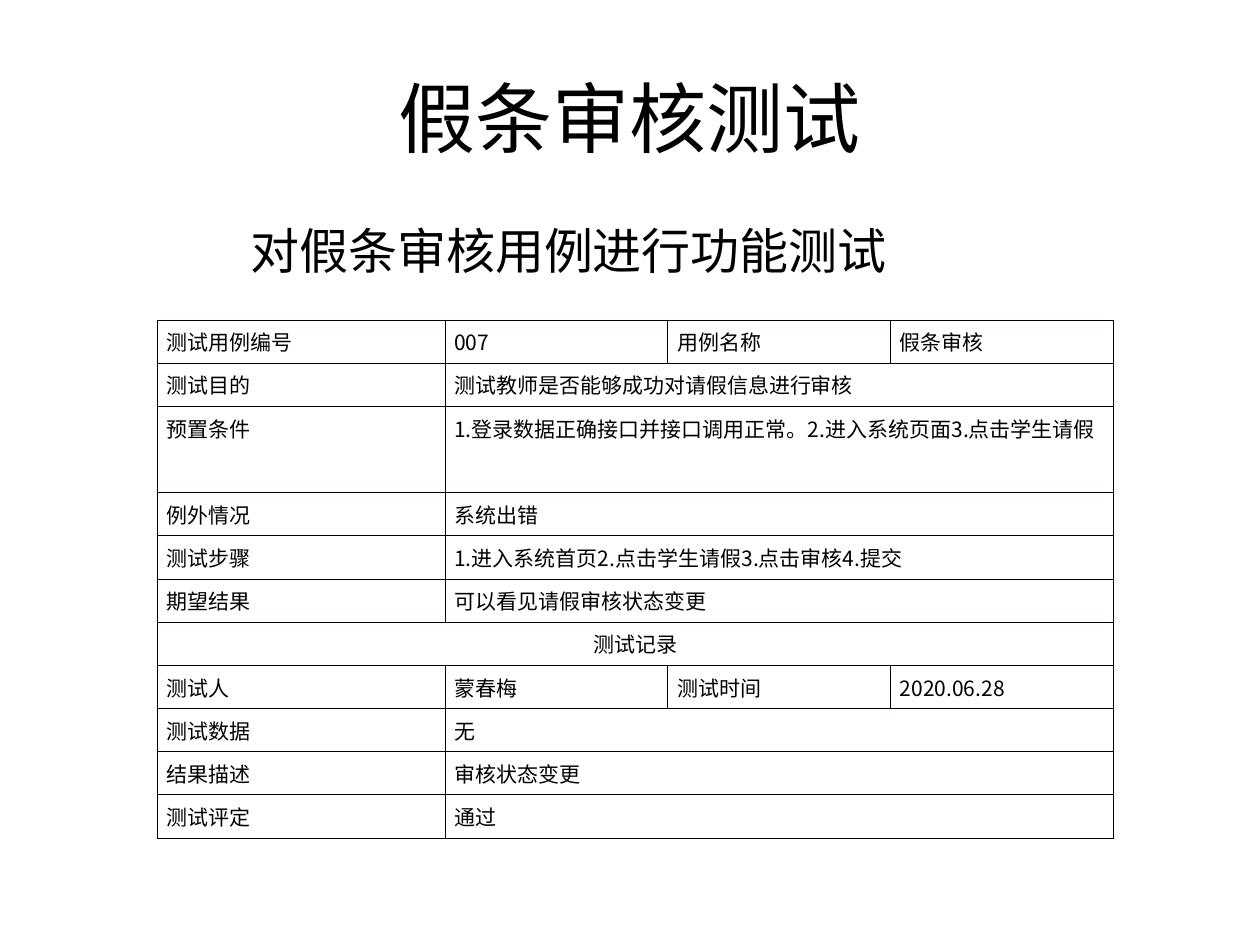
from lxml import etree
from pptx import Presentation
from pptx.dml.color import RGBColor
from pptx.enum.text import MSO_ANCHOR, PP_ALIGN
from pptx.oxml.ns import qn
from pptx.util import Cm, Pt

CENTER = PP_ALIGN.CENTER
LEFT = PP_ALIGN.LEFT
MIDDLE = MSO_ANCHOR.MIDDLE
TOP = MSO_ANCHOR.TOP

COLORS = {"text": "000000", "border": "080000"}
HEAD_FONT = "Arial"
CJK_FONT = "Noto Sans CJK SC"

COL_WIDTHS = [5.8, 4.49, 4.49, 4.49]
ROW_HEIGHT = 0.87
TALL_ROW = 2
# A row with fewer than four entries stretches its last one to the right edge.
ROWS = [
    ["测试用例编号", "007", "用例名称", "假条审核"],
    ["测试目的", "测试教师是否能够成功对请假信息进行审核"],
    ["预置条件", "1.登录数据正确接口并接口调用正常。2.进入系统页面3.点击学生请假"],
    ["例外情况", "系统出错"],
    ["测试步骤", "1.进入系统首页2.点击学生请假3.点击审核4.提交"],
    ["期望结果", "可以看见请假审核状态变更"],
    ["测试记录"],
    ["测试人", "蒙春梅", "测试时间", "2020.06.28"],
    ["测试数据", "无"],
    ["结果描述", "审核状态变更"],
    ["测试评定", "通过"],
]


def write_text(tf, text, size, font, align=LEFT):
    p = tf.paragraphs[0]
    p.alignment = align
    r = p.add_run()
    r.text = text
    r.font.size = Pt(size)
    r.font.name = font
    r.font.color.rgb = RGBColor.from_string(COLORS["text"])
    ea = etree.SubElement(r.font._element, qn("a:ea"))
    ea.set("typeface", CJK_FONT)


def add_text(slide, text, left, top, width, height, size, align=LEFT,
             anchor=TOP, wrap=True):
    sp = slide.shapes.add_textbox(Cm(left), Cm(top), Cm(width), Cm(height))
    tf = sp.text_frame
    tf.word_wrap = wrap
    tf.vertical_anchor = anchor
    write_text(tf, text, size, HEAD_FONT, align)


def style_cell(cell):
    """Clear the fill and draw a thin line on all four sides."""
    cell.fill.background()
    cell.margin_left = cell.margin_right = Cm(0.19)
    cell.margin_top = cell.margin_bottom = Cm(0.13)
    tc_pr = cell._tc.get_or_add_tcPr()
    for i, side in enumerate(("a:lnL", "a:lnR", "a:lnT", "a:lnB")):
        ln = etree.Element(qn(side), w=str(Pt(0.45)))
        fill = etree.SubElement(ln, qn("a:solidFill"))
        etree.SubElement(fill, qn("a:srgbClr"), val=COLORS["border"])
        tc_pr.insert(i, ln)


def add_test_table(slide, left, top):
    n_rows, n_cols = len(ROWS), len(COL_WIDTHS)
    table = slide.shapes.add_table(
        n_rows, n_cols, Cm(left), Cm(top),
        Cm(sum(COL_WIDTHS)), Cm(ROW_HEIGHT * (n_rows + 1))).table
    table.first_row = table.horz_banding = False
    for col, width in zip(table.columns, COL_WIDTHS):
        col.width = Cm(width)
    for i, entries in enumerate(ROWS):
        table.rows[i].height = Cm(ROW_HEIGHT * (2 if i == TALL_ROW else 1))
        for j in range(n_cols):
            style_cell(table.cell(i, j))
        last = len(entries) - 1
        if last < n_cols - 1:
            table.cell(i, last).merge(table.cell(i, n_cols - 1))
        align = CENTER if last == 0 else LEFT
        for j, text in enumerate(entries):
            write_text(table.cell(i, j).text_frame, text, 12, CJK_FONT, align)


def main():
    prs = Presentation()
    prs.slide_width, prs.slide_height = Cm(25.4), Cm(19.05)
    slide = prs.slides.add_slide(prs.slide_layouts[6])
    add_text(slide, "假条审核测试", 1.27, 0.76, 22.86, 3.18, 44, CENTER, MIDDLE)
    add_test_table(slide, 3.17, 6.45)
    add_text(slide, "对假条审核用例进行功能测试", 4.8, 4.32, 13.34, 1.45, 28,
             wrap=False)
    prs.save("out.pptx")


if __name__ == "__main__":
    main()
